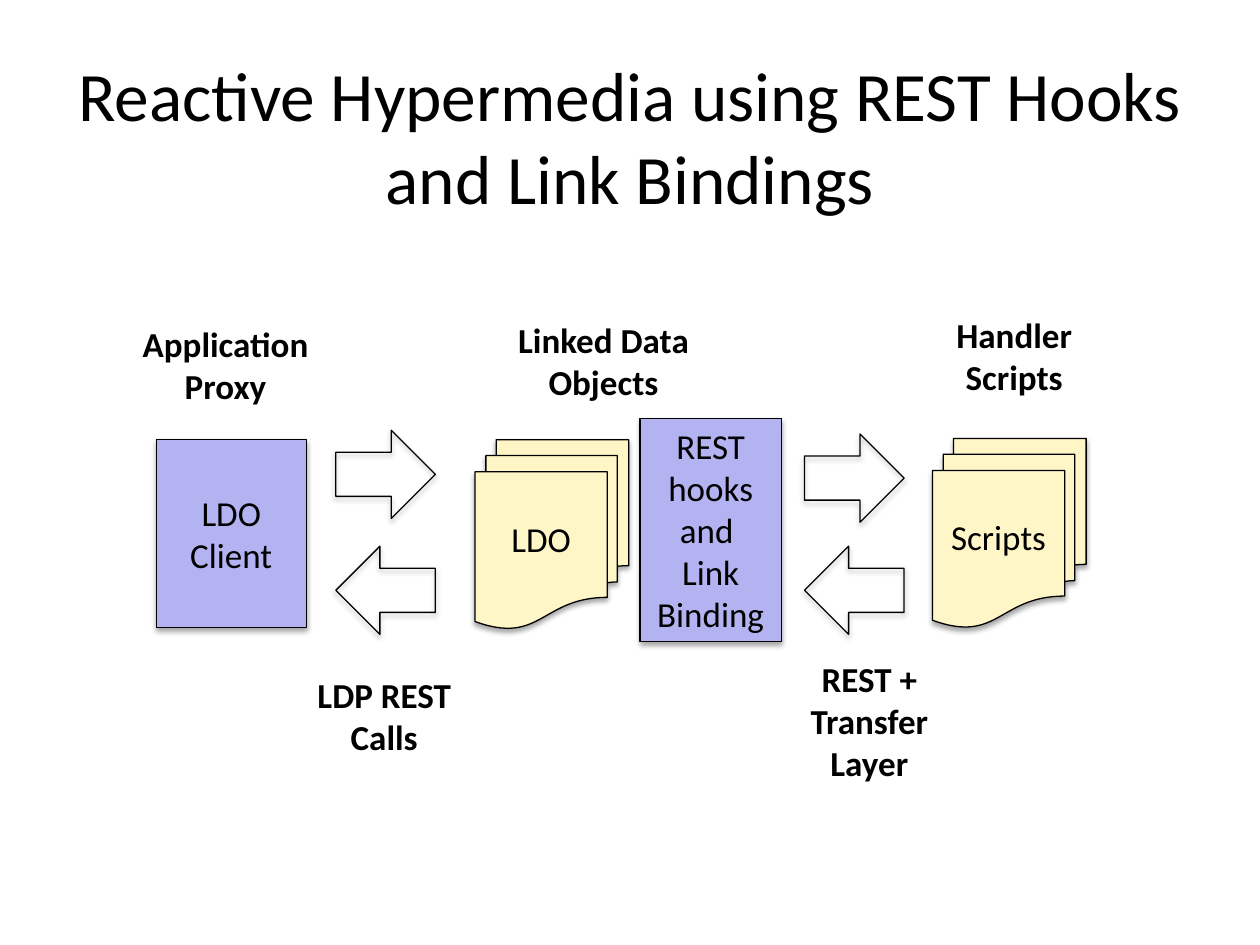
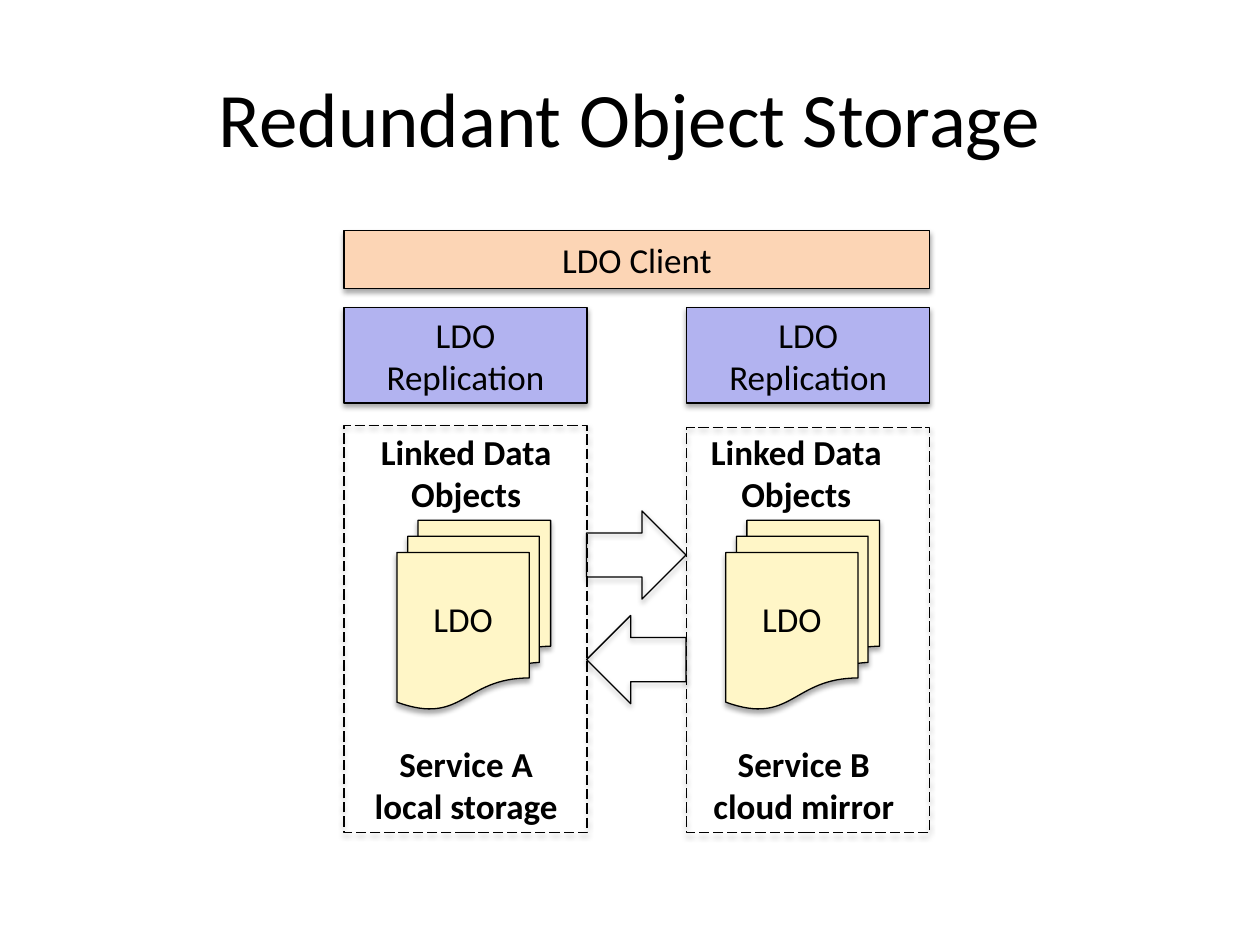
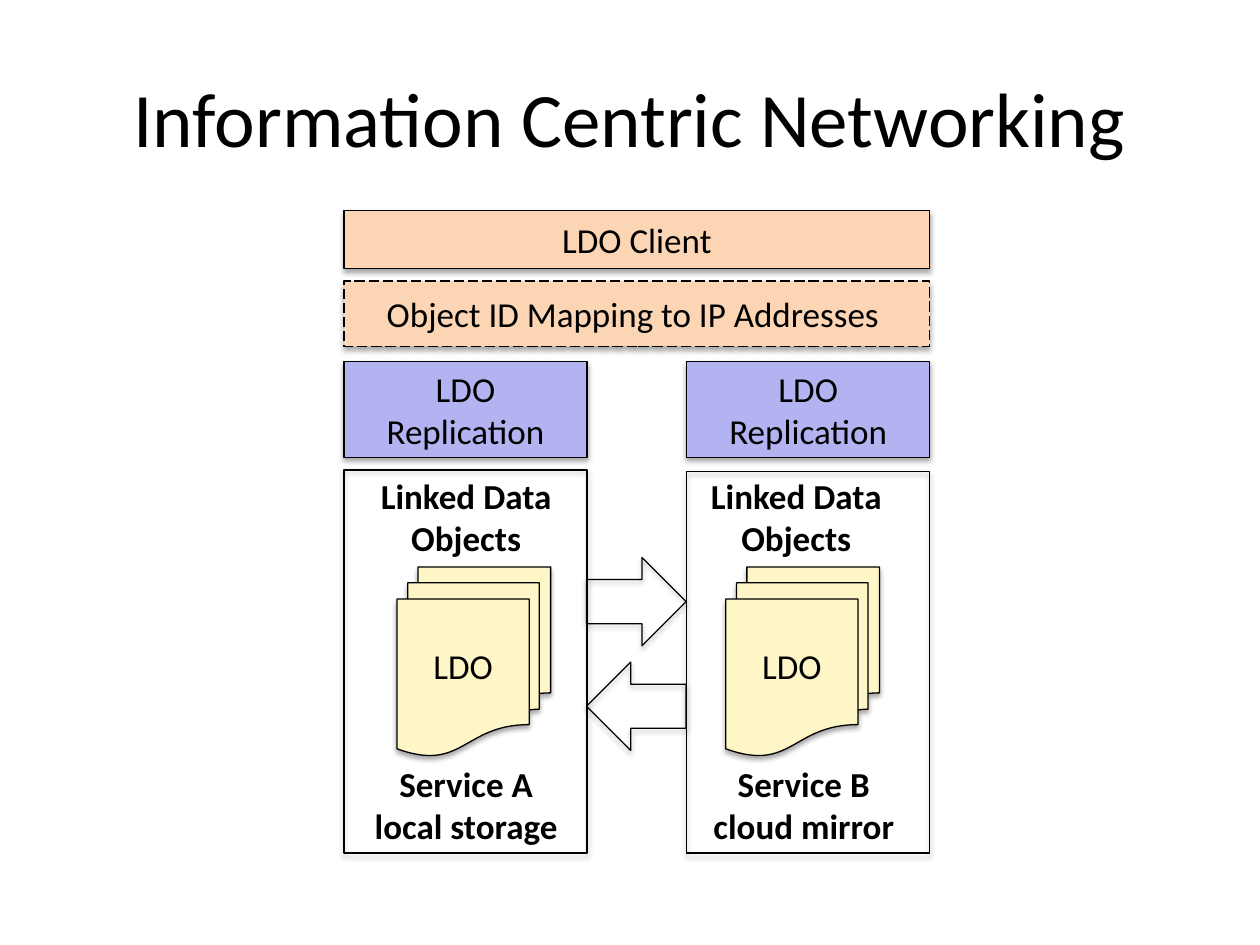
from lxml import etree
from pptx import Presentation
from pptx.dml.color import RGBColor
from pptx.enum import dml, shapes, text
from pptx.oxml.ns import qn
from pptx.util import Inches, Pt

BLACK = RGBColor(0x00, 0x00, 0x00)
BLUE = RGBColor(0xB2, 0xB3, 0xF0)
CREAM = RGBColor(0xFF, 0xF6, 0xC7)
PEACH = RGBColor(0xFC, 0xD5, 0xB5)
FONT = "Calibri"
SIZE = 20
KIND = shapes.MSO_SHAPE
MIDDLE = text.MSO_ANCHOR.MIDDLE
TOP = text.MSO_ANCHOR.TOP


class Deck:
    def __init__(self):
        self.prs = Presentation()
        self.prs.slide_width = Inches(10)
        self.prs.slide_height = Inches(7.5)
        self.slide = None

    def start(self, title, top=0.3, size=44):
        self.slide = self.prs.slides.add_slide(self.prs.slide_layouts[6])
        box = self.slide.shapes.add_textbox(*map(Inches, (0.5, top, 9, 1.25)))
        self.letter(box, title, size)

    def letter(self, shape, words, size=SIZE, bold=False, anchor=MIDDLE):
        """Set the text of a shape, centred, in the shared font."""
        frame = shape.text_frame
        frame.word_wrap = True
        frame.vertical_anchor = anchor
        frame.text = words
        para = frame.paragraphs[0]
        para.text = words
        para.alignment = text.PP_ALIGN.CENTER
        for run in para.runs:
            font = run.font
            font.name, font.size, font.bold = FONT, Pt(size), bold
            font.color.rgb = BLACK

    def shade(self, shape):
        """Give the shape a soft shadow straight below it."""
        shape.shadow.inherit = False
        effects = shape._element.spPr.find(qn("a:effectLst"))
        outer = etree.SubElement(
            effects, qn("a:outerShdw"), blurRad=str(Pt(3.1)),
            dist=str(Pt(1.8)), dir="5400000", rotWithShape="0")
        color = etree.SubElement(outer, qn("a:srgbClr"), val=str(BLACK))
        etree.SubElement(color, qn("a:alpha"), val="35000")

    def draw(self, kind, x, y, w, h, fill=None, dash=False):
        shape = self.slide.shapes.add_shape(kind, *map(Inches, (x, y, w, h)))
        if fill is None:
            shape.fill.background()
        else:
            shape.fill.solid()
            shape.fill.fore_color.rgb = fill
        shape.line.color.rgb = BLACK
        shape.line.width = Pt(0.75)
        if dash:
            shape.line.dash_style = dml.MSO_LINE.LONG_DASH
        self.shade(shape)
        return shape

    def block(self, words, x, y, w, h, fill, dash=False):
        self.letter(self.draw(KIND.RECTANGLE, x, y, w, h, fill, dash), words)

    def stack(self, words, x, y):
        shape = self.draw(KIND.FLOWCHART_MULTIDOCUMENT, x, y, 1.22, 1.5, CREAM)
        self.letter(shape, words, anchor=TOP)
        shape.text_frame.margin_top = Inches(0.36)

    def label(self, words, x, y, h=0.77):
        box = self.slide.shapes.add_textbox(*map(Inches, (x, y, 1.74, h)))
        self.letter(box, words, bold=True, anchor=TOP)

    def arrows(self, x, right, left):
        """Draw an arrow to the right above an arrow to the left."""
        for y, turn in ((right, 90), (left, 270)):
            self.draw(KIND.UP_ARROW, x, y, 0.7, 0.79).rotation = turn


def hooks(deck):
    deck.start("Reactive Hypermedia using REST Hooks and Link Bindings", 0.45, 39.6)
    deck.block("REST hooks and \vLink Binding", 5.08, 3.32, 1.12, 1.77, BLUE)
    deck.block("LDO Client", 1.24, 3.49, 1.19, 1.49, BLUE)
    deck.stack("LDO", 3.77, 3.49)
    deck.stack("Scripts", 7.4, 3.48)
    deck.arrows(2.71, 3.37, 4.29)
    deck.arrows(6.43, 3.4, 4.29)
    deck.label("Application Proxy", 0.92, 2.51)
    deck.label("Linked Data Objects", 3.92, 2.48)
    deck.label("Handler Scripts", 7.18, 2.44)
    deck.label("LDP REST Calls", 2.18, 5.3)
    deck.label("REST + Transfer Layer", 6.03, 5.17, 1.11)


def mirror(deck, client, copies, panel, tall, docs, dash=False):
    """Draw a client bar over two services that replicate each other."""
    deck.arrows(4.7, docs - 0.12, docs + 0.71)
    sides = (
        (2.73, 0.42, 0.1, 0.1, 0, "Service A\vlocal storage"),
        (5.45, 0.31, 0, 0.06, 0.01, "Service B\vcloud mirror"),
    )
    for x, inset, head, foot, drop, name in sides:
        deck.stack("LDO", x + inset, docs)
        deck.label("Linked Data Objects", x + head, panel - 0.01)
        deck.draw(KIND.RECTANGLE, x, panel + drop, 1.93, tall - drop, dash=dash)
        deck.label(name, x + foot, panel + tall - 0.77)
        deck.block("LDO Replication", x, copies, 1.93, 0.76, BLUE)
    deck.block("LDO Client", 2.73, client, 4.65, 0.46, PEACH)


def main():
    deck = Deck()
    hooks(deck)
    deck.start("Redundant Object Storage")
    mirror(deck, 1.83, 2.44, 3.38, 3.23, 4.13, dash=True)
    deck.start("Information Centric Networking")
    mirror(deck, 1.67, 2.87, 3.73, 3.04, 4.5)
    deck.block("Object ID Mapping to IP Addresses ", 2.73, 2.23, 4.65, 0.52, PEACH, dash=True)
    deck.prs.save("out.pptx")


if __name__ == "__main__":
    main()
